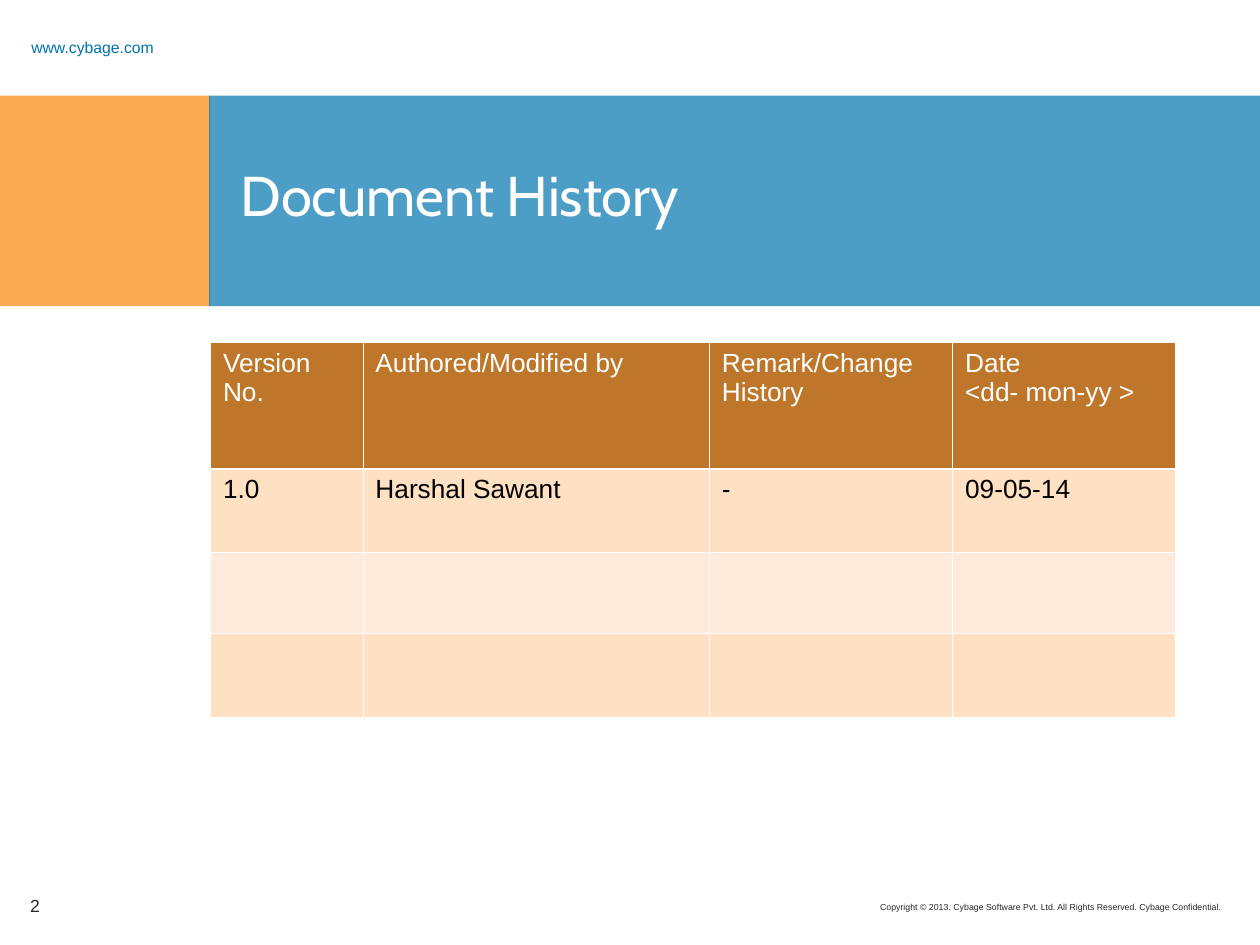
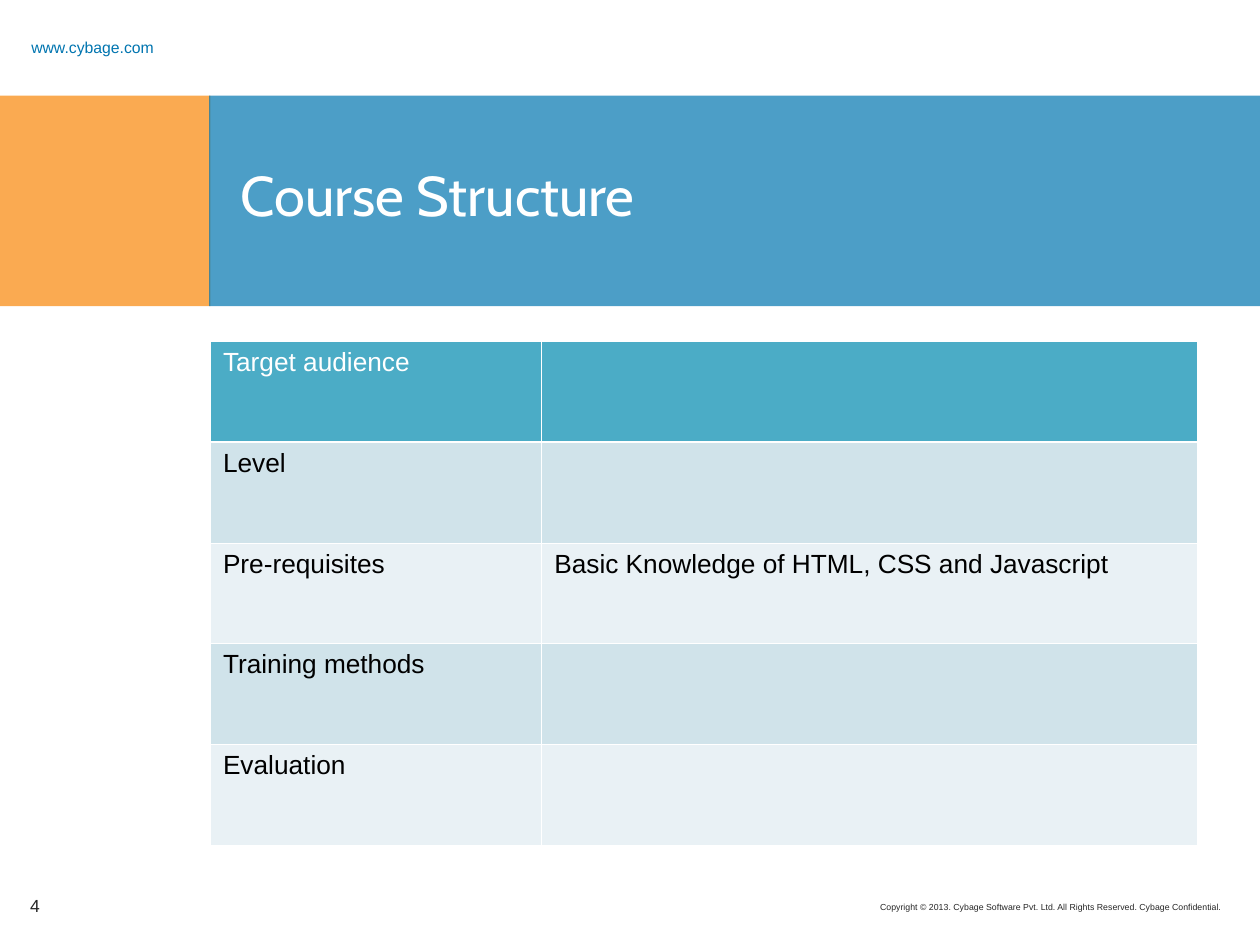
from lxml import etree
from pptx import Presentation
from pptx.dml.color import RGBColor
from pptx.enum import shapes, text
from pptx.oxml.ns import qn
from pptx.util import Inches, Pt

WHITE = RGBColor(0xFF, 0xFF, 0xFF)
BLACK = RGBColor(0x00, 0x00, 0x00)
GRAY = RGBColor(0x26, 0x26, 0x26)
BLUE = RGBColor(0x00, 0x75, 0xB0)
ORANGE = RGBColor(0xF8, 0x86, 0x08)
BROWN = RGBColor(0xB3, 0x60, 0x05)
PEACH = RGBColor(0xFE, 0xE1, 0xC2)
PALE_PEACH = RGBColor(0xFD, 0xEA, 0xDA)
TEAL = RGBColor(0x4B, 0xAC, 0xC6)
MIST = RGBColor(0xD0, 0xE3, 0xEA)
PALE_MIST = RGBColor(0xE9, 0xF1, 0xF5)

BODY_FONT, TITLE_FONT = "Arial", "Cabin"
THIN, THICK = 0.45, 1.47
BAND_TOP, BAND_HEIGHT = 0.76, 1.67
COPYRIGHT = ("Copyright © 2013. Cybage Software Pvt. Ltd. "
             "All Rights Reserved. Cybage Confidential.")


def set_alpha(element, percent):
    color = element.find(".//" + qn("a:srgbClr"))
    etree.SubElement(color, qn("a:alpha"), val=str(percent * 1000))


class Deck:
    def __init__(self):
        self.prs = Presentation()
        self.prs.slide_width, self.prs.slide_height = Inches(10), Inches(7.5)
        self.s = None

    def add_slide(self, title, number):
        self.s = self.prs.slides.add_slide(self.prs.slide_layouts[5])
        # Footer and header
        self.text(COPYRIGHT, (6.24, 7.11, 3.56, 0.2), 5, GRAY,
                  align=text.PP_ALIGN.RIGHT, anchor=text.MSO_ANCHOR.TOP)
        self.text("www.cybage.com", (0.15, 0.24, 1.5, 0.19), 9, BLUE, spacing=1.5)
        # Title on its two bands
        self.band(0, 1.67, ORANGE)
        self.band(1.66, 8.34, BLUE)
        self.title(title)
        self.text(number, (0.14, 6.99, 0.54, 0.4), 10, GRAY)

    def run(self, p, words, size, color, font=BODY_FONT):
        r = p.add_run()
        r.text = words
        r.font.name, r.font.size, r.font.bold = font, Pt(size), False
        r.font.color.rgb = color

    def text(self, words, box, size, color, align=text.PP_ALIGN.LEFT,
             anchor=text.MSO_ANCHOR.MIDDLE, spacing=None):
        tf = self.s.shapes.add_textbox(*map(Inches, box)).text_frame
        tf.word_wrap, tf.vertical_anchor = True, anchor
        p = tf.paragraphs[0]
        p.alignment, p.line_spacing = align, spacing
        self.run(p, words, size, color)

    def band(self, left, width, color):
        sp = self.s.shapes.add_shape(
            shapes.MSO_SHAPE.RECTANGLE, Inches(left), Inches(BAND_TOP),
            Inches(width), Inches(BAND_HEIGHT))
        sp.shadow.inherit = False
        sp.line.fill.background()
        sp.fill.solid()
        sp.fill.fore_color.rgb = color
        set_alpha(sp.element.spPr, 70)

    def title(self, words):
        sp = self.s.shapes.title
        sp.left, sp.top, sp.width, sp.height = map(Inches, (1.81, 1.22, 7.94, 0.62))
        sp.element.getparent().append(sp.element)  # in front of the bands
        tf = sp.text_frame
        tf.word_wrap, tf.auto_size = True, text.MSO_AUTO_SIZE.NONE
        tf.vertical_anchor = text.MSO_ANCHOR.TOP
        p = tf.paragraphs[0]
        p.alignment = text.PP_ALIGN.LEFT
        self.run(p, words, 32, WHITE, TITLE_FONT)

    def table(self, top, col_widths, row_heights, rows, fills, header_alpha=100):
        """fills holds the header colour and the two alternating row colours."""
        frame = self.s.shapes.add_table(
            len(row_heights), len(col_widths), Inches(1.67), Inches(top),
            Inches(sum(col_widths)), Inches(sum(row_heights)))
        table = frame.table
        for column, width in zip(table.columns, col_widths):
            column.width = Inches(width)
        for i, height in enumerate(row_heights):
            table.rows[i].height = Inches(height)
            words = rows[i] if i < len(rows) else ()
            fill = fills[0] if i == 0 else fills[2 - i % 2]
            for j, cell in enumerate(table.rows[i].cells):
                cell.fill.solid()
                cell.fill.fore_color.rgb = fill
                tc_pr = cell._tc.get_or_add_tcPr()
                if i == 0 and header_alpha < 100:
                    set_alpha(tc_pr, header_alpha)
                self.borders(tc_pr, i)
                if j < len(words):
                    self.cell_text(cell, words[j], BLACK if i else WHITE)

    def cell_text(self, cell, words, color):
        tf = cell.text_frame
        for k, line in enumerate(words.split("\n")):
            p = tf.add_paragraph() if k else tf.paragraphs[0]
            self.run(p, line, 15, color)

    def borders(self, tc_pr, row):
        widths = {"lnL": THIN, "lnR": THIN,
                  "lnT": THICK if row == 1 else THIN,
                  "lnB": THICK if row == 0 else THIN}
        for k, (side, width) in enumerate(widths.items()):
            ln = etree.Element(qn("a:" + side), w=str(Pt(width)))
            solid = etree.SubElement(ln, qn("a:solidFill"))
            etree.SubElement(solid, qn("a:srgbClr"), val=str(WHITE))
            tc_pr.insert(k, ln)


def main():
    deck = Deck()

    # Document history
    deck.add_slide("Document History", "2")
    deck.table(2.72, [1.21, 2.75, 1.93, 1.77], [1, 0.66, 0.65, 0.66], [
        ("Version No.", "Authored/Modified by", "Remark/Change History",
         "Date\n<dd- mon-yy >"),
        ("1.0", "Harshal Sawant", "-", "09-05-14"),
    ], (BROWN, PEACH, PALE_PEACH), header_alpha=85)

    # Course structure
    deck.add_slide("Course Structure", "4")
    deck.table(2.71, [2.63, 5.2], [0.8] * 5, [
        ("Target audience",),
        ("Level",),
        ("Pre-requisites", "Basic Knowledge of HTML, CSS and Javascript"),
        ("Training methods",),
        ("Evaluation",),
    ], (TEAL, MIST, PALE_MIST))

    deck.prs.save("out.pptx")


if __name__ == "__main__":
    main()
